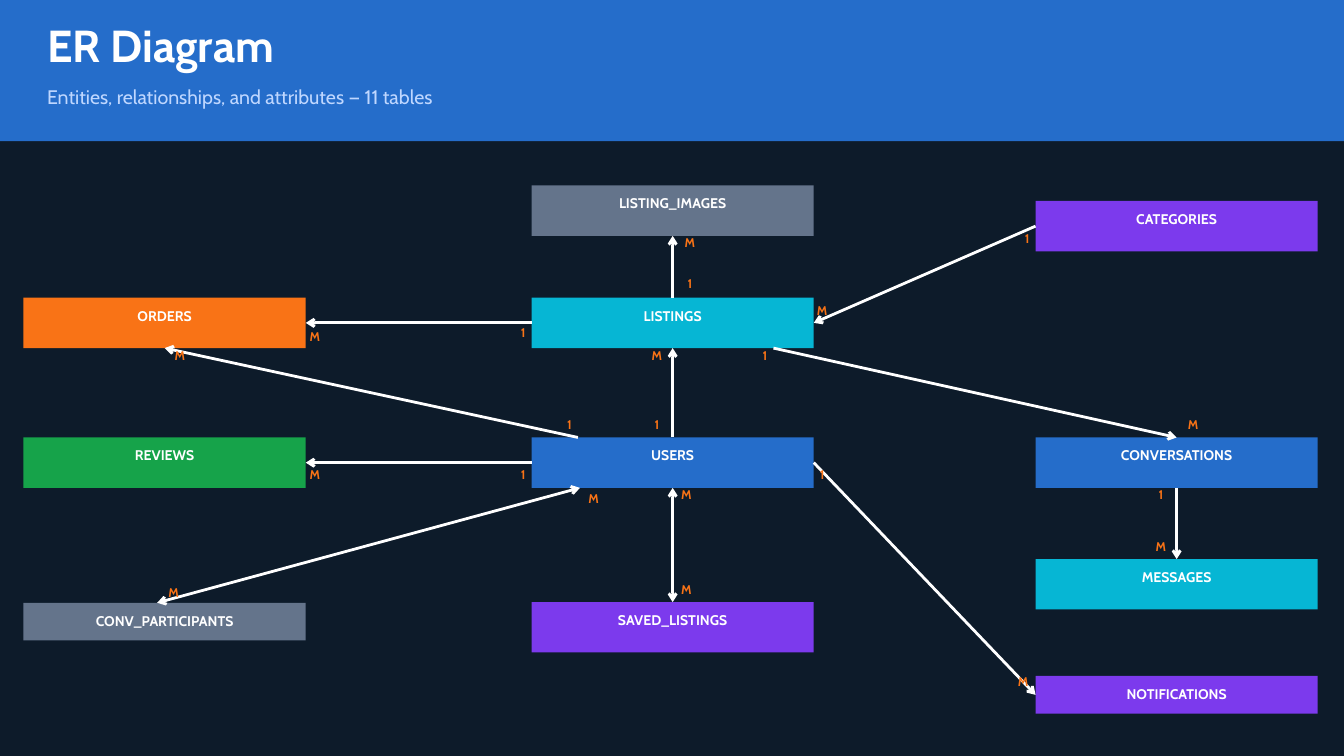
from lxml import etree
from pptx import Presentation
from pptx.dml.color import RGBColor
from pptx.enum.shapes import MSO_CONNECTOR, MSO_SHAPE
from pptx.enum.text import MSO_ANCHOR, MSO_AUTO_SIZE, PP_ALIGN
from pptx.oxml.ns import qn
from pptx.util import Inches, Pt

RECTANGLE = MSO_SHAPE.RECTANGLE
STRAIGHT = MSO_CONNECTOR.STRAIGHT
TOP_ANCHOR = MSO_ANCHOR.TOP
NO_AUTOFIT = MSO_AUTO_SIZE.NONE
LEFT_ALIGN, CENTER = PP_ALIGN.LEFT, PP_ALIGN.CENTER
TOP, LEFT, BOTTOM, RIGHT = range(4)  # connection sites of a rectangle

FONT = "Cabin"
COLORS = {
    "navy": "0D1B2A", "blue": "256DCA", "cyan": "06B6D4", "violet": "7C3AED",
    "slate": "64748B", "orange": "F97316", "green": "16A34A",
    "white": "FFFFFF", "pale": "BFD7FF",
}


def add_rectangle(left, top, width, height, color):
    shape = slide.shapes.add_shape(
        RECTANGLE, Inches(left), Inches(top), Inches(width), Inches(height))
    shape.shadow.inherit = False
    shape.fill.solid()
    shape.fill.fore_color.rgb = RGBColor.from_string(COLORS[color])
    shape.line.fill.background()
    return shape


def write_text(shape, text, size, color, bold, align=CENTER, inset_x=0, inset_y=0):
    frame = shape.text_frame
    frame.text = text
    frame.word_wrap = True
    frame.auto_size = NO_AUTOFIT
    frame.vertical_anchor = TOP_ANCHOR
    frame.margin_left = frame.margin_right = Inches(inset_x)
    frame.margin_top = frame.margin_bottom = Inches(inset_y)
    paragraph = frame.paragraphs[0]
    paragraph.alignment = align
    paragraph.space_before = Pt(0)
    paragraph.line_spacing = Pt(size * 1.2)
    paragraph.font.name = FONT
    paragraph.font.size = Pt(size)
    paragraph.font.bold = bold
    paragraph.font.color.rgb = RGBColor.from_string(COLORS[color])


presentation = Presentation()
presentation.slide_width = Inches(20)
presentation.slide_height = Inches(11.25)
slide = presentation.slides.add_slide(presentation.slide_layouts[0])
slide.background.fill.solid()
slide.background.fill.fore_color.rgb = RGBColor.from_string(COLORS["navy"])

# Header band, placed behind the title and subtitle
band = add_rectangle(0, 0, 20, 2.1, "blue")
slide.shapes._spTree.insert(2, band._element)

headings = [
    (slide.shapes.title, "ER Diagram", 0.26, 1.04, 48, "white", True),
    (slide.placeholders[1], "Entities, relationships, and attributes — 11 tables",
     1.27, 0.4, 21, "pale", False),
]
for shape, text, top, height, size, color, bold in headings:
    shape.left, shape.top = Inches(0.7), Inches(top)
    shape.width, shape.height = Inches(18.56), Inches(height)
    write_text(shape, text, size, color, bold, LEFT_ALIGN)

# Entities in three columns
COLUMNS = [0.35, 7.91, 15.41]
ENTITY_WIDTH, TALL, SHORT = 4.2, 0.75, 0.56
entities = [
    ("USERS", 1, 6.51, TALL, "blue"),
    ("LISTINGS", 1, 4.43, TALL, "cyan"),
    ("CATEGORIES", 2, 2.99, TALL, "violet"),
    ("LISTING_IMAGES", 1, 2.76, TALL, "slate"),
    ("ORDERS", 0, 4.43, TALL, "orange"),
    ("REVIEWS", 0, 6.51, TALL, "green"),
    ("CONVERSATIONS", 2, 6.51, TALL, "blue"),
    ("CONV_PARTICIPANTS", 0, 8.97, SHORT, "slate"),
    ("MESSAGES", 2, 8.32, TALL, "cyan"),
    ("SAVED_LISTINGS", 1, 8.96, TALL, "violet"),
    ("NOTIFICATIONS", 2, 10.06, SHORT, "violet"),
]
boxes = {}
for name, column, top, height, color in entities:
    box = add_rectangle(COLUMNS[column], top, ENTITY_WIDTH, height, color)
    write_text(box, name, 15, "white", True, inset_x=0.1, inset_y=0.14)
    boxes[name] = box

# Relationships: each end is (entity, site) or a free point (x, y), followed by
# its cardinality and the label position; every "M" end has an arrowhead
relationships = [
    (("USERS", TOP), "1", (9.65, 6.2), ("LISTINGS", BOTTOM), "M", (9.65, 5.17)),
    (("CATEGORIES", LEFT), "1", (15.16, 3.44), ("LISTINGS", RIGHT), "M", (12.11, 4.5)),
    (("LISTINGS", TOP), "1", (10.14, 4.11), ("LISTING_IMAGES", BOTTOM), "M", (10.14, 3.5)),
    ((8.6, 6.51), "1", (8.35, 6.2), ("ORDERS", BOTTOM), "M", (2.55, 5.17)),
    (("LISTINGS", LEFT), "1", (7.66, 4.84), ("ORDERS", RIGHT), "M", (4.56, 4.9)),
    (("USERS", LEFT), "1", (7.66, 6.95), ("REVIEWS", RIGHT), "M", (4.56, 6.95)),
    (("CONVERSATIONS", BOTTOM), "1", (17.15, 7.25), ("MESSAGES", TOP), "M", (17.15, 8.02)),
    ((11.51, 5.18), "1", (11.26, 5.17), ("CONVERSATIONS", TOP), "M", (17.63, 6.2)),
    ((8.63, 7.26), "M", (8.71, 7.3), (2.34, 8.97), "M", (2.46, 8.71)),
    (("USERS", BOTTOM), "M", (10.09, 7.25), ("SAVED_LISTINGS", TOP), "M", (10.09, 8.66)),
    (("USERS", RIGHT), "1", (12.11, 6.95), ("NOTIFICATIONS", LEFT), "M", (15.1, 10.03)),
]
for start, start_mark, start_label, end, end_mark, end_label in relationships:
    connector = slide.shapes.add_connector(STRAIGHT, 0, 0, 0, 0)
    if start[0] in boxes:
        connector.begin_connect(boxes[start[0]], start[1])
    else:
        connector.begin_x, connector.begin_y = map(Inches, start)
    if end[0] in boxes:
        connector.end_connect(boxes[end[0]], end[1])
    else:
        connector.end_x, connector.end_y = map(Inches, end)
    connector.line.width = Pt(3)
    connector.line.color.rgb = RGBColor.from_string(COLORS["white"])
    line = connector.line._get_or_add_ln()
    for tag, mark in (("a:headEnd", start_mark), ("a:tailEnd", end_mark)):
        if mark == "M":
            etree.SubElement(line, qn(tag), type="arrow")
    etree.SubElement(connector._element.spPr, qn("a:effectLst"))

    for mark, (left, top) in ((start_mark, start_label), (end_mark, end_label)):
        label = slide.shapes.add_textbox(
            Inches(left), Inches(top), Inches(0.25), Inches(0.31))
        write_text(label, mark, 13.5, "orange", True)

presentation.save("out.pptx")
